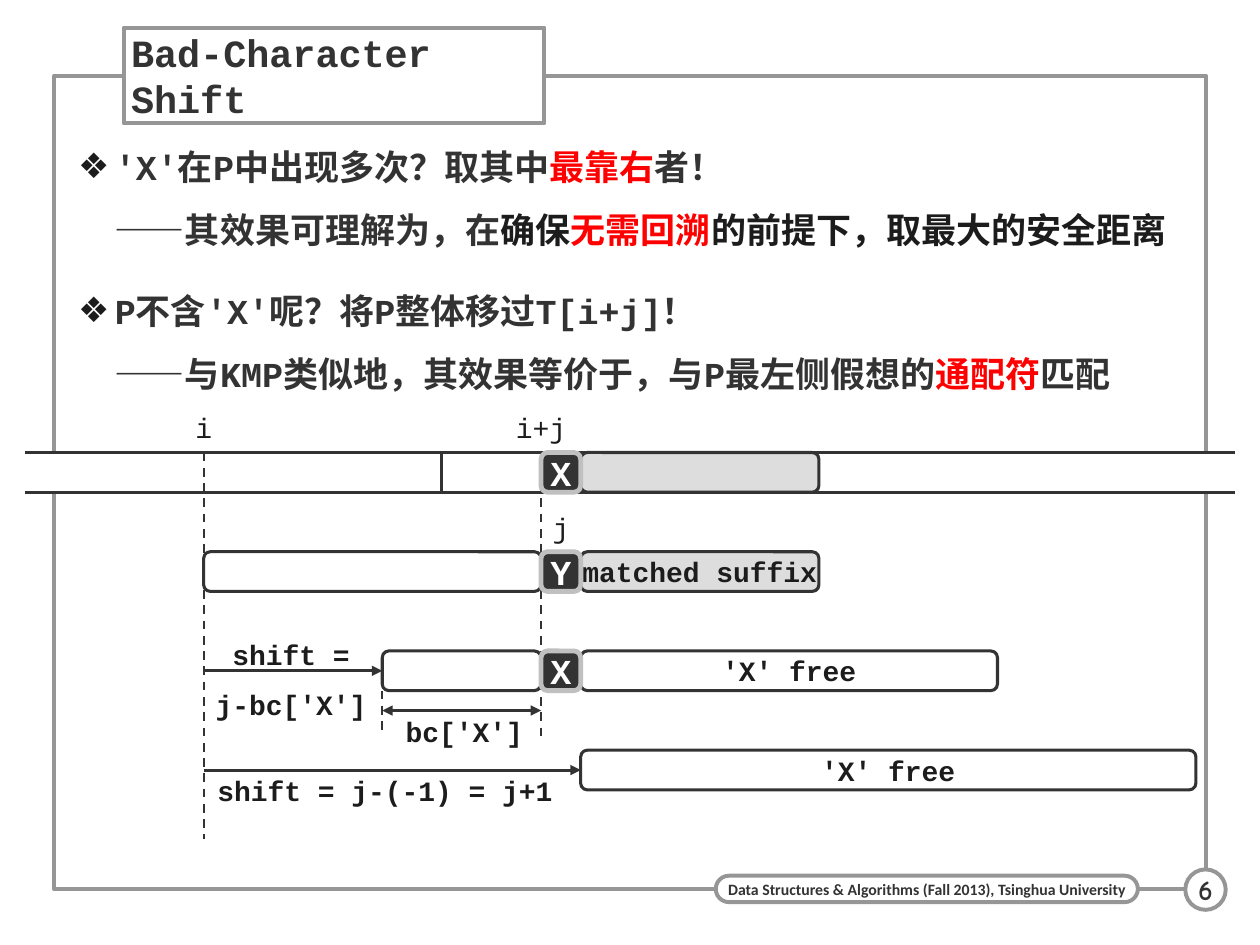
from lxml import etree
from pptx import Presentation
from pptx import util as u
from pptx.dml import color
from pptx.enum import dml, shapes, text
from pptx.oxml import ns

Pt = u.Pt
THEME = {
    "ink": "333333", "black": "1C1C1C", "red": "FF0000", "white": "FFFFFF",
    "frame": "969696", "silver": "C0C0C0", "matched": "DDDDDD",
    "mono": "Courier New", "han": "Noto Sans CJK SC",
    "foot": "Calibri", "number": "Comic Neue",
    "title": 22, "body": 20, "label": 16, "small": 9,
}


def rgb(name):
    return color.RGBColor.from_string(THEME[name])


def write(sp, paragraphs, size, font="mono", bold=True, align="CENTER",
          inset=(0, 0), wrap=False, anchor="MIDDLE"):
    """Fill a shape with paragraphs, each a list of (text, colour, font or None)."""
    tf = sp.text_frame
    values = {"word_wrap": wrap, "auto_size": text.MSO_AUTO_SIZE.NONE,
              "vertical_anchor": text.MSO_ANCHOR[anchor],
              "margin_left": Pt(inset[0]), "margin_right": Pt(inset[0]),
              "margin_top": Pt(inset[1]), "margin_bottom": Pt(inset[1])}
    for key, value in values.items():
        setattr(tf, key, value)
    for i, runs in enumerate(paragraphs):
        p = tf.paragraphs[0] if i == 0 else tf.add_paragraph()
        p.alignment = text.PP_ALIGN[align]
        for words, ink, face in runs:
            if words == "\n":
                p.add_line_break()
                br = p._p.findall(ns.qn("a:br"))[-1]
                etree.SubElement(br, ns.qn("a:rPr"), sz=str(THEME[size] * 100))
                continue
            r = p.add_run()
            r.text = words
            for key, value in {"size": Pt(THEME[size]), "bold": bold,
                               "name": THEME[face or font]}.items():
                setattr(r.font, key, value)
            r.font.color.rgb = rgb(ink)
            ea = etree.Element(ns.qn("a:ea"), typeface=THEME["han"])
            r._r.rPr.find(ns.qn("a:latin")).addnext(ea)
    return tf


prs = Presentation()
prs.slide_width, prs.slide_height = Pt(720), Pt(540)
s = prs.slides.add_slide(prs.slide_layouts[1])
title, body = s.placeholders[0], s.placeholders[1]

# Page frame, footer and number
page = {}
for name, kind, x, y, w, h in [
    ("frame", "RECTANGLE", 31, 43.2, 658, 465.1),
    ("footer", "ROUNDED_RECTANGLE", 409, 500.4, 241.2, 15.1),
    ("number", "OVAL", 677.3, 496.8, 23.1, 23.1),
]:
    sp = s.shapes.add_shape(shapes.MSO_SHAPE[kind], Pt(x), Pt(y), Pt(w), Pt(h))
    sp.shadow.inherit = False
    sp.fill.solid()
    sp.fill.fore_color.rgb = rgb("white")
    sp.line.color.rgb = rgb("frame")
    sp.line.width = Pt(2.25)
    page[name] = sp
page["frame"].fill.background()
page["footer"].adjustments[0] = 0.5
write(page["footer"], [[("Data Structures & Algorithms (Fall 2013), Tsinghua University",
                         "ink", None)]], "small", "foot", inset=(4.3, 0))
write(page["number"], [[("6", "ink", None)]], "label", "number", inset=(2.9, 2.9))

# Title, in front of the frame
s.shapes._spTree.append(title._element)
title.left, title.top, title.width, title.height = Pt(70.6), Pt(15.8), Pt(240.5), Pt(54.7)
title.fill.solid()
title.fill.fore_color.rgb = rgb("white")
title.line.color.rgb = rgb("frame")
title.line.width = Pt(2.25)
write(title, [[("Bad-Character Shift", "ink", None)]], "title", align="LEFT",
      inset=(4.3, 0.7), wrap=True)

# Bullets
s.shapes._spTree.append(body._element)
body.left, body.top, body.width, body.height = Pt(33.1), Pt(65.5), Pt(656), Pt(425.5)
tf = write(body, [
    [("'X'在P中出现多次？取其中", "ink", None), ("最靠右", "red", None),
     ("者！", "ink", None), ("\n", "ink", None), ("——", "ink", "han"),
     ("其效果可理解为，在", "ink", None), ("确保", "black", None),
     ("无需回溯", "red", None), ("的前提下，取最大的安全距离", "black", None)],
    [("P不含'X'呢？将P整体移过T[i+j]！", "ink", None), ("\n", "ink", None),
     ("——", "ink", "han"), ("与KMP类似地，其效果等价于，与P最左侧假想的", "ink", None),
     ("通配符", "red", None), ("匹配", "ink", None)],
], "body", align="LEFT", inset=(11.5, 5.8), wrap=True, anchor="TOP")
tf.margin_right = 0
for i, p in enumerate(tf.paragraphs):
    pPr = p._p.get_or_add_pPr()
    pPr.set("marL", str(Pt(21)))
    pPr.set("indent", str(-Pt(21)))
    clr = etree.SubElement(pPr, ns.qn("a:buClr"))
    etree.SubElement(clr, ns.qn("a:srgbClr"), val=THEME["black"])
    etree.SubElement(pPr, ns.qn("a:buChar"), char="❖")
    for key, value in {"line_spacing": 1.5, "space_before": Pt(7.5 if i else 0),
                       "space_after": Pt(2.5)}.items():
        setattr(p, key, value)

# Diagram grid: one cell per character, rows two and a half cells apart
CELL, X0, Y0 = 22.68, 116.4, 258.6
col = [X0 + CELL * k / 2 for k in range(32)]  # half-cell columns
row = [Y0 + CELL * 2.5 * k for k in range(4)]
mid = [y + CELL / 2 for y in row]
I, START, BAD, SUFFIX, END = col[0], col[9], col[17], col[19], col[31]

# The text runs off both sides of the diagram
for edge, inner in [(14.2, BAD), (705.6, col[31 - 0] - CELL * 9.5)]:
    fb = s.shapes.build_freeform(Pt(edge), Pt(row[0] + CELL))
    fb.add_line_segments([(Pt(inner), Pt(row[0] + CELL)), (Pt(inner), Pt(row[0])),
                          (Pt(edge), Pt(row[0]))], close=False)
    sp = fb.convert_to_shape()
    sp.shadow.inherit = False
    sp.fill.solid()
    sp.fill.fore_color.rgb = rgb("white")
    sp.line.color.rgb = rgb("ink")
    sp.line.width = Pt(1.75)

# Dashed guides
lines = []
for x, top, bottom in [(I, row[0], 479.5), (BAD, row[0], 423.4),
                       (START, row[2] + CELL, 417.6)]:
    c = s.shapes.add_connector(shapes.MSO_CONNECTOR.STRAIGHT,
                               Pt(x), Pt(top), Pt(x), Pt(bottom))
    c.line.dash_style = dml.MSO_LINE.DASH
    lines.append((c, 1.25, []))

# Strings and the compared characters
boxes = {}
for x, k, cells, fill, words in [
    (SUFFIX, 0, 6, "matched", ""),
    (I, 1, 8.5, "white", ""),
    (SUFFIX, 1, 6, "matched", "matched suffix"),
    (START, 2, 4, "white", ""),
    (SUFFIX, 2, 10.5, "white", "'X' free"),
    (SUFFIX, 3, 15.5, "white", "'X' free"),
    (BAD, 0, 1, "ink", "X"),
    (BAD, 1, 1, "ink", "Y"),
    (BAD, 2, 1, "ink", "X"),
]:
    single = cells == 1
    sp = s.shapes.add_shape(shapes.MSO_SHAPE.ROUNDED_RECTANGLE,
                            Pt(x), Pt(row[k]), Pt(CELL * cells), Pt(CELL))
    sp.shadow.inherit = False
    sp.adjustments[0] = 0.167
    sp.fill.solid()
    sp.fill.fore_color.rgb = rgb(fill)
    sp.line.color.rgb = rgb("silver" if single else "ink")
    sp.line.width = Pt(2.75 if single else 1.75)
    if words:
        write(sp, [[(words, "white" if single else "black", None)]],
              "body" if single else "label")
    boxes[x, k] = sp

# Shift arrows and the width of bc['X']
for x1, x2, y, target, ends in [
    (I, START, mid[2], boxes[START, 2], ["tailEnd"]),
    (I, SUFFIX, mid[3], boxes[SUFFIX, 3], ["tailEnd"]),
    (START, BAD, row[2] + CELL * 1.5, None, ["headEnd", "tailEnd"]),
]:
    c = s.shapes.add_connector(shapes.MSO_CONNECTOR.STRAIGHT, Pt(x1), Pt(y), Pt(x2), Pt(y))
    if target is not None:
        c.end_connect(target, 1)
    lines.append((c, 1.75, ends))

for c, width, ends in lines:
    c.line.color.rgb = rgb("ink")
    c.line.width = Pt(width)
    for end in ends:
        etree.SubElement(c.line._get_or_add_ln(), ns.qn("a:" + end), type="triangle")
    etree.SubElement(c._element.spPr, ns.qn("a:effectLst"))

# Labels, by centre
for parts, cx, cy, w, h, bold, spacing in [
    (["i"], I, row[0] - 14.2, 9.6, 19.4, False, 1),
    (["i+j"], BAD, row[0] - 14.2, 28.8, 19.4, False, 1),
    (["j"], col[18], row[1] - 14.2, 9.6, 19.4, False, 1),
    (["shift =", "\n", "j-bc['X']"], 166.3, mid[2], 92.2, 63.4, True, 1.5),
    (["bc['X']"], 265.3, 418, 72.7, 25.2, True, 1),
    (["shift = j-(-1) = j+1"], 220, 451.8, 198, 25.2, True, 1),
]:
    sp = s.shapes.add_textbox(Pt(cx - w / 2), Pt(cy - h / 2), Pt(w), Pt(h))
    tf = write(sp, [[(part, "black", None) for part in parts]], "label", bold=bold)
    tf.paragraphs[0].line_spacing = spacing

prs.save("out.pptx")
